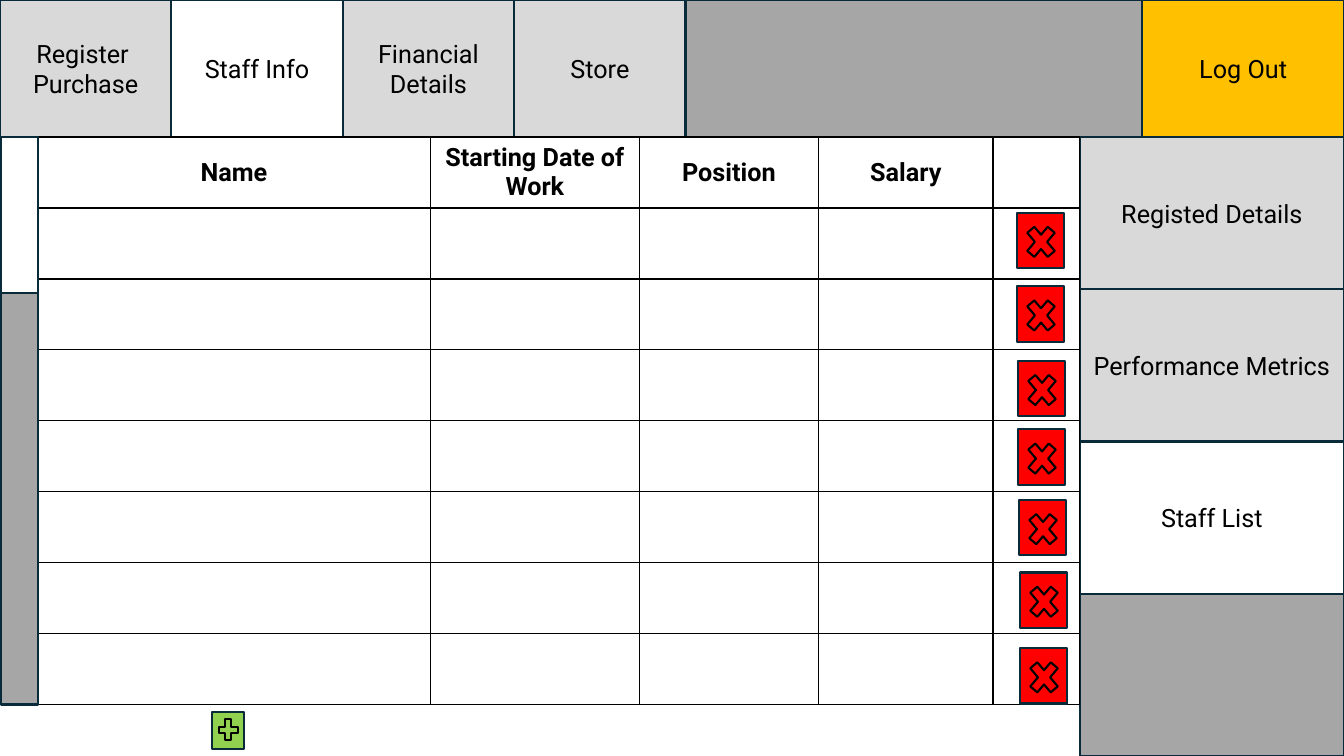
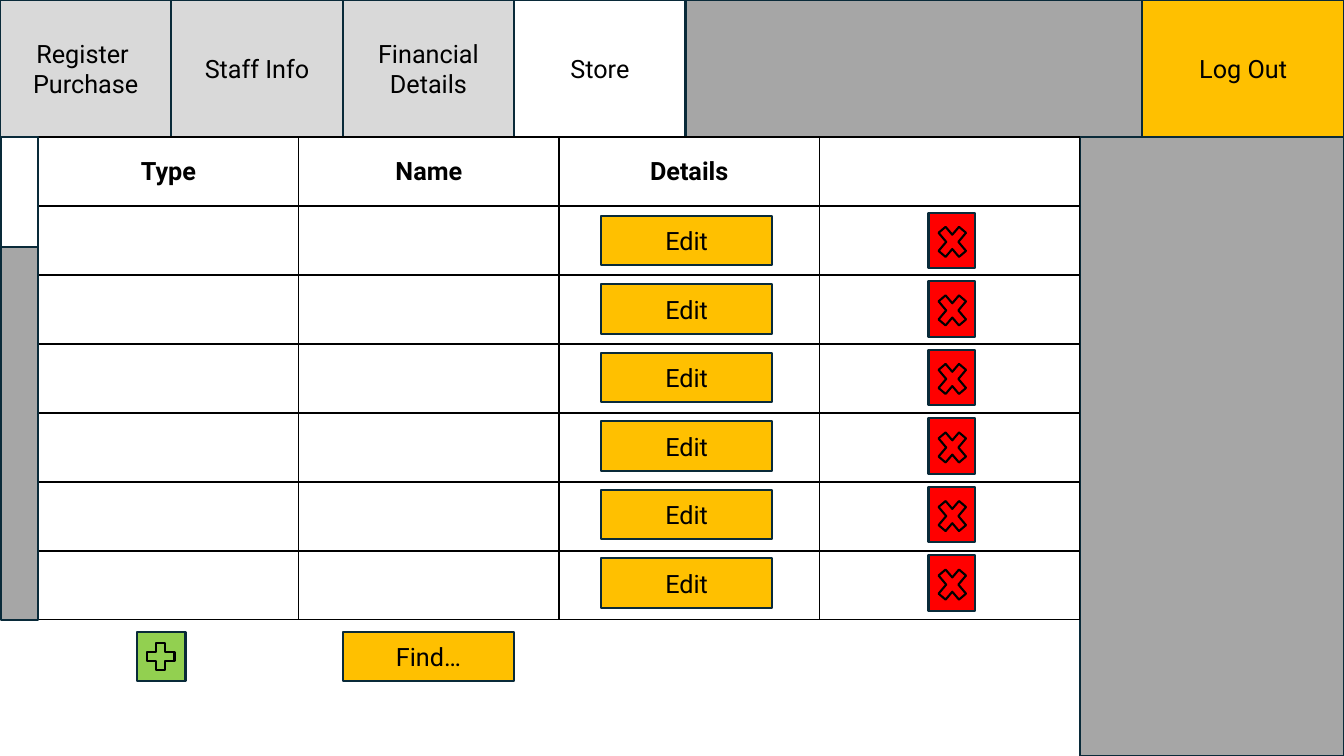
from lxml.etree import SubElement
from pptx import Presentation
from pptx.dml.color import RGBColor
from pptx.enum.shapes import MSO_SHAPE
from pptx.enum.text import MSO_ANCHOR, PP_ALIGN
from pptx.oxml.ns import qn
from pptx.util import Pt

PX = 9144  # 100 px to the inch
SLIDE_WIDTH, SLIDE_HEIGHT = 1333, 750
FONT = "Roboto"
COLORS = {
    "outline": "092A39", "black": "000000", "white": "FFFFFF",
    "idle": "D9D9D9", "panel": "A6A6A6", "action": "FFC000",
    "delete": "FF0000", "add": "92D050",
}

# Shared frame
TABS = ["Register \nPurchase", "Staff Info", "Financial\nDetails", "Store"]
BAND_HEIGHT = 136
TABS_WIDTH = 680
LOG_OUT_LEFT = 1133
SIDE_LEFT, SIDE_ITEM_HEIGHT = 1071, 151
SCROLL_LEFT, SCROLL_WIDTH = 1, 37
EDIT_SIZE = (170, 49)
DELETE_SIZE, DELETE_ICON = (46, 55), (4, 6, 39, 46)

# Content of each page
PAGES = [
    {
        "tab": "Staff Info",
        "side": ["Registed Details", "Performance Metrics", "Staff List"],
        "side_active": "Staff List",
        "headers": ["Name", "Starting Date of Work", "Position", "Salary", ""],
        "columns": [390, 207, 178, 173, 86],
        "rows": 8, "table": (37, 136, 1034, 563), "thumb": 155,
        "buttons": [],
        "deletes": [(1009, 211), (1009, 284), (1010, 358), (1010, 426),
                    (1011, 496), (1012, 568), (1012, 643)],
        "add": ((210, 706, 32, 37), (4, 4, 25, 28)),
    },
    {
        "tab": "Store",
        "side": [], "side_active": None,
        "headers": ["Type", "Name", "Details", ""],
        "columns": None,
        "rows": 7, "table": (38, 136, 1033, 479), "thumb": 109,
        "buttons": [("Edit", 596, 214 + 68 * row) for row in range(6)]
        + [("Find…", 340, 627)],
        "deletes": [(921, 211 + 68 * row) for row in range(6)],
        "add": ((136, 627, 48, 49), (5, 6, 37, 37)),
    },
]


def rgb(name):
    return RGBColor.from_string(COLORS[name])


def write(text_frame, text, size=18, color="black", bold=False):
    text_frame.word_wrap = True
    text_frame.text = text
    for paragraph in text_frame.paragraphs:
        paragraph.alignment = PP_ALIGN.CENTER
        for run in paragraph.runs:
            run.font.name = FONT
            run.font.size = Pt(size)
            run.font.bold = bold
            run.font.color.rgb = rgb(color)


def add_box(shapes, box, fill, text="", line="outline", kind=MSO_SHAPE.RECTANGLE):
    shape = shapes.add_shape(kind, *(value * PX for value in box))
    shape.shadow.inherit = False
    shape.fill.solid()
    shape.fill.fore_color.rgb = rgb(fill)
    shape.line.color.rgb = rgb(line)
    shape.line.width = Pt(1.5)
    if text:
        shape.text_frame.vertical_anchor = MSO_ANCHOR.MIDDLE
        write(shape.text_frame, text)


def add_icon_button(slide, box, icon, fill, kind):
    """A square button grouped with its symbol; icon is placed within box."""
    group = slide.shapes.add_group_shape()
    add_box(group.shapes, box, fill)
    left, top, width, height = icon
    add_box(group.shapes, (box[0] + left, box[1] + top, width, height), fill,
            line="black", kind=kind)


def add_frame(slide, page):
    shapes = slide.shapes
    # Bands
    add_box(shapes, (0, 0, SLIDE_WIDTH, BAND_HEIGHT), "panel")
    side_width = SLIDE_WIDTH - SIDE_LEFT
    add_box(shapes, (SIDE_LEFT, BAND_HEIGHT, side_width, SLIDE_HEIGHT - BAND_HEIGHT),
            "panel")
    # Top tabs
    add_box(shapes, (LOG_OUT_LEFT, 0, SLIDE_WIDTH - LOG_OUT_LEFT, BAND_HEIGHT),
            "action", "Log Out")
    edges = [round(TABS_WIDTH * index / len(TABS)) for index in range(len(TABS) + 1)]
    for label, left, right in zip(TABS, edges, edges[1:]):
        fill = "white" if label == page["tab"] else "idle"
        add_box(shapes, (left, 0, right - left, BAND_HEIGHT), fill, label)
    # Side menu
    for index, label in enumerate(page["side"]):
        fill = "white" if label == page["side_active"] else "idle"
        top = BAND_HEIGHT + index * SIDE_ITEM_HEIGHT
        add_box(shapes, (SIDE_LEFT, top, side_width, SIDE_ITEM_HEIGHT), fill, label)


def add_borders(cell):
    properties = cell._tc.get_or_add_tcPr()
    for side in ("a:lnL", "a:lnR", "a:lnT", "a:lnB"):
        border = SubElement(properties, qn(side), w=str(Pt(1)))
        solid = SubElement(border, qn("a:solidFill"))
        SubElement(solid, qn("a:srgbClr"), val=COLORS["black"])


def add_grid(slide, page):
    headers = page["headers"]
    table = slide.shapes.add_table(page["rows"], len(headers),
                                   *(value * PX for value in page["table"])).table
    table.first_row = table.horz_banding = False
    for column, width in zip(table.columns, page["columns"] or []):
        column.width = width * PX
    for cell in table.iter_cells():
        add_borders(cell)
        cell.fill.solid()
        cell.fill.fore_color.rgb = rgb("white")
        cell.vertical_anchor = MSO_ANCHOR.MIDDLE
    for index, header in enumerate(headers):
        if header:
            write(table.cell(0, index).text_frame, header, bold=True)


def add_page(presentation, page):
    slide = presentation.slides.add_slide(presentation.slide_layouts[6])
    add_frame(slide, page)
    add_grid(slide, page)
    # Scroll bar: track, then thumb
    top, height = page["table"][1], page["table"][3]
    add_box(slide.shapes, (SCROLL_LEFT, top, SCROLL_WIDTH, height), "panel")
    add_box(slide.shapes, (SCROLL_LEFT, top, SCROLL_WIDTH, page["thumb"]), "white")
    # Buttons
    for label, left, top in page["buttons"]:
        add_box(slide.shapes, (left, top, *EDIT_SIZE), "action", label)
    for position in page["deletes"]:
        add_icon_button(slide, (*position, *DELETE_SIZE), DELETE_ICON, "delete",
                        MSO_SHAPE.MATH_MULTIPLY)
    add_icon_button(slide, *page["add"], "add", MSO_SHAPE.MATH_PLUS)


def main():
    presentation = Presentation()
    presentation.slide_width = SLIDE_WIDTH * PX
    presentation.slide_height = SLIDE_HEIGHT * PX
    for page in PAGES:
        add_page(presentation, page)
    presentation.save("out.pptx")


if __name__ == "__main__":
    main()
